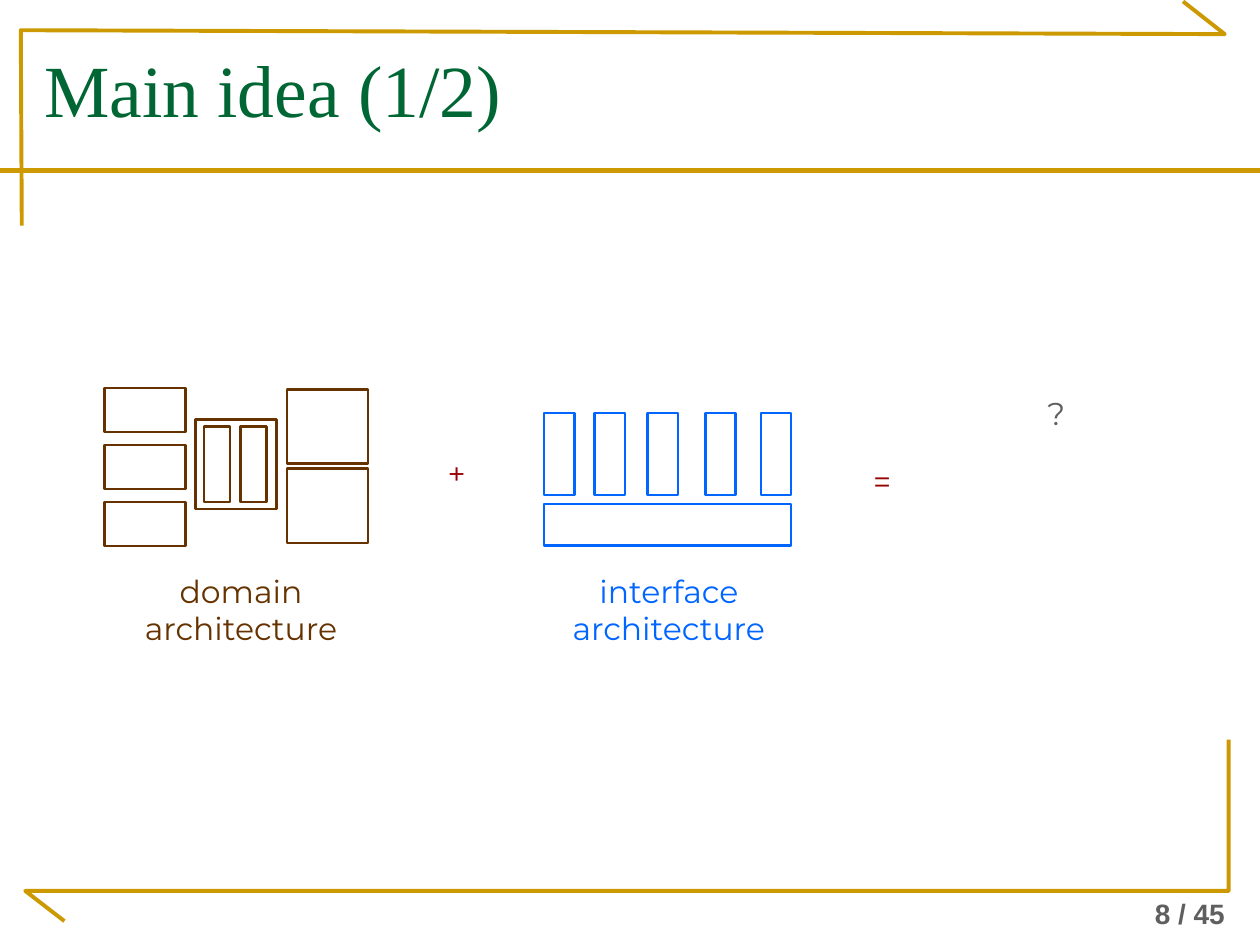
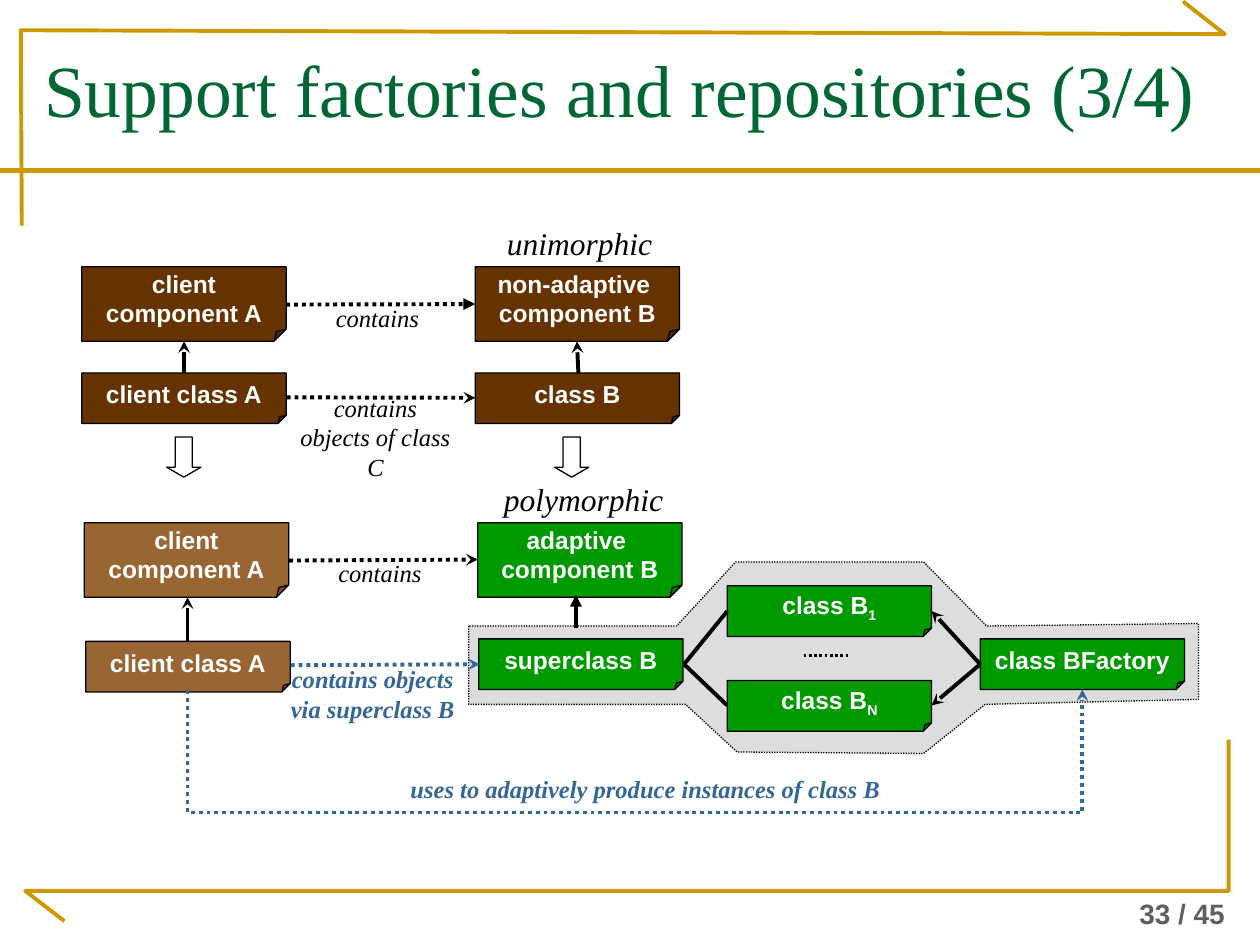
from pptx import Presentation
from pptx.dml.color import RGBColor as Rgb
from pptx.enum.dml import MSO_LINE as Dash
from pptx.enum.shapes import MSO_CONNECTOR as Link, MSO_SHAPE as Form
from pptx.enum.text import MSO_ANCHOR as Anchor, PP_ALIGN as Align
from pptx.oxml.ns import qn
from pptx.util import Cm, Pt
from lxml import etree

HUES = {
    "gold": "CC9900", "title": "006633", "gray": "5F5F5F", "pale": "DDDDDD",
    "brown": "663300", "tan": "996633", "green": "009900", "blue": "0066FF",
    "steel": "336699", "red": "990000", "black": "000000", "white": "FFFFFF",
}
SERIF, SANS, MONT = "Times New Roman", "Arial", "Montserrat"
TOTAL = 45


def hue(name):
    return Rgb.from_string(HUES[name])


def write(frame, text, font=SANS, size=14, color="black", bold=False, italic=False,
          align=Align.CENTER, anchor=Anchor.TOP, wrap=True, pad=None):
    frame.word_wrap = wrap
    frame.vertical_anchor = anchor
    if pad is not None:
        frame.margin_left = frame.margin_right = Cm(pad)
        frame.margin_top = frame.margin_bottom = Cm(pad)
    for i, line in enumerate(text.split("\n")):
        para = frame.add_paragraph() if i else frame.paragraphs[0]
        para.alignment = align
        base, _, sub = line.partition("_")
        for part in filter(None, (base, sub)):
            run = para.add_run()
            run.text = part
            face = run.font
            face.name, face.size = font, Pt(size)
            face.bold, face.italic = bold, italic
            face.color.rgb = hue(color)
            if part is sub:
                run._r.get_or_add_rPr().set("baseline", "-25000")


def label(slide, text, box, **style):
    area = slide.shapes.add_textbox(*map(Cm, box))
    write(area.text_frame, text, **style)


def stroke(line, color, width, dash=None, head=None):
    line.color.rgb = hue(color)
    line.width = Pt(width)
    if dash:
        line.dash_style = dash
    if head:
        etree.SubElement(line._get_or_add_ln(), qn("a:tailEnd"), type=head)


def shape(slide, form, box, fill, color, width, **adjust):
    item = slide.shapes.add_shape(form, *map(Cm, box))
    item.shadow.inherit = False
    item.fill.solid()
    item.fill.fore_color.rgb = hue(fill)
    stroke(item.line, color, width)
    if adjust:
        guides = next(item._element.iter(qn("a:avLst")))
        guides[:] = []
        for name, value in adjust.items():
            etree.SubElement(guides, qn("a:gd"), name=name, fmla=f"val {value}")
    return item


def line(slide, start, end, color="black", width=2.25, dash=None, head=None):
    link = slide.shapes.add_connector(Link.STRAIGHT, *map(Cm, (*start, *end)))
    etree.SubElement(link._element.spPr, qn("a:effectLst"))
    stroke(link.line, color, width, dash, head)


def trace(slide, points, color, width=2.25, fill=None, dash=None, head=None):
    spots = [(Cm(x), Cm(y)) for x, y in points]
    pen = slide.shapes.build_freeform(*spots[0])
    pen.add_line_segments(spots[1:], close=bool(fill))
    item = pen.convert_to_shape()
    item.shadow.inherit = False
    if fill:
        item.fill.solid()
        item.fill.fore_color.rgb = hue(fill)
    else:
        item.fill.background()
    stroke(item.line, color, width, dash, head)


def page(deck, title, number):
    slide = deck.slides.add_slide(deck.slide_layouts[6])
    trace(slide, [(0.44, 4.55), (0.42, 0.61), (24.69, 0.69), (23.85, 0.03)], "gold")
    trace(slide, [(1.3, 18.57), (0.51, 17.96), (24.77, 17.96), (24.77, 14.91)], "gold")
    line(slide, (0, 3.43), (25.4, 3.43), "gold", 3)
    label(slide, f"{number} / {TOTAL}", (21.92, 17.78, 3.02, 1.09), size=16,
          color="gray", bold=True, align=Align.RIGHT, anchor=Anchor.BOTTOM)
    label(slide, title, (0.64, 0.76, 23.93, 2.72), font=SERIF, size=42,
          color="title", align=Align.LEFT)
    return slide


def frames(slide, color, boxes):
    for box in boxes:
        shape(slide, Form.RECTANGLE, box, "white", color, 1.5)


def note(slide, text, left, top, fill):
    high = 1.5 if "\n" in text else 1.02
    item = shape(slide, Form.FOLDED_CORNER, (left, top, 4.12, high), fill,
                 "black", 0.75, adj=16300)
    write(item.text_frame, text, color="white", bold=True,
          anchor=Anchor.MIDDLE, wrap=False)


def remark(slide, text, box, size=14, color="black", bold=False):
    label(slide, text, box, font=SERIF, size=size, color=color, bold=bold,
          italic=True, pad=0)


def idea(deck):
    slide = page(deck, "Main idea (1/2)", 8)
    frames(slide, "brown", [(2.11, 7.82 + 1.15 * i, 1.63, 0.89) for i in range(3)])
    frames(slide, "brown", [(3.94, 8.46, 1.63, 1.8)])
    frames(slide, "brown", [(5.79, 7.85 + 1.6 * i, 1.63, 1.5) for i in range(2)])
    frames(slide, "brown", [(4.11 + 0.74 * i, 8.6, 0.53, 1.52) for i in range(2)])
    frames(slide, "blue", [(x, 8.33, 0.61, 1.65)
                           for x in (10.97, 11.99, 13.06, 14.22, 15.34)])
    frames(slide, "blue", [(10.97, 10.16, 4.98, 0.84)])
    for text, color, box in (
        ("domain architecture", "brown", (1.57, 11.4, 6.58, 0.58)),
        ("interface architecture", "blue", (10.13, 11.4, 6.71, 0.58)),
        ("+", "red", (8.61, 9.02, 1.19, 1.24)),
        ("=", "red", (17.2, 9.19, 1.17, 0.91)),
        ("?", "gray", (20.14, 7.82, 2.31, 3.3)),
    ):
        label(slide, text, box, font=MONT, size=18, color=color, wrap=False)


def support(deck):
    slide = page(deck, "Support factories and repositories (3/4)", 33)
    trace(slide, [(9.45, 12.62), (9.45, 14.2), (13.82, 14.2), (14.86, 15.16),
                  (18.62, 15.19), (19.86, 14.2), (24.16, 14.1), (24.16, 12.57),
                  (19.89, 12.62), (18.62, 11.33), (14.83, 11.33), (13.64, 12.62)],
          "black", 0.75, "pale", Dash.ROUND_DOT)
    for text, left, top, fill in (
        ("client\ncomponent A", 1.65, 5.38, "brown"),
        ("non-adaptive \ncomponent B", 9.58, 5.38, "brown"),
        ("client class A", 1.65, 7.52, "brown"),
        ("class B", 9.58, 7.52, "brown"),
        ("client\ncomponent A", 1.7, 10.54, "tan"),
        ("adaptive \ncomponent B", 9.63, 10.54, "green"),
        ("client class A", 1.73, 12.93, "tan"),
        ("superclass B", 9.65, 12.88, "green"),
        ("class B_1", 14.66, 11.81, "green"),
        ("class B_N", 14.66, 13.72, "green"),
        ("class BFactory", 19.76, 12.88, "green"),
    ):
        note(slide, text, left, top, fill)
    for start, end, head in (
        ((3.71, 7.52), (3.71, 6.88), "stealth"),
        ((11.66, 7.52), (11.63, 6.88), "stealth"),
        ((3.78, 12.93), (3.78, 12.04), "stealth"),
        ((11.61, 12.65), (11.61, 11.99), "triangle"),
        ((14.66, 12.32), (13.79, 13.39), None),
        ((14.66, 14.22), (13.79, 13.39), None),
        ((19.76, 13.39), (18.78, 12.32), "stealth"),
        ((19.76, 13.39), (18.78, 14.22), "stealth"),
    ):
        line(slide, start, end, head=head)
    for start, end, color, head in (
        ((5.77, 6.14), (9.58, 6.13), "black", "triangle"),
        ((5.78, 8.01), (9.58, 8.02), "black", "stealth"),
        ((5.83, 11.3), (9.63, 11.28), "black", "stealth"),
        ((5.86, 13.41), (9.67, 13.39), "steel", "stealth"),
    ):
        line(slide, start, end, color, dash=Dash.ROUND_DOT, head=head)
    line(slide, (16.2, 13.22), (17.15, 13.22), width=1.5, dash=Dash.ROUND_DOT)
    trace(slide, [(3.78, 13.92), (3.78, 16.38), (21.82, 16.38), (21.82, 13.9)],
          "steel", dash=Dash.ROUND_DOT, head="stealth")
    for left in (3.36, 11.18):
        shape(slide, Form.DOWN_ARROW, (left, 8.81, 0.69, 0.81), "white", "black",
              0.75, adj1=50000, adj2=29000)
    remark(slide, "unimorphic", (9.93, 4.52, 3.51, 0.76), 18)
    remark(slide, "polymorphic", (10.01, 9.68, 3.51, 0.76), 18)
    remark(slide, "contains", (6.3, 6.1, 2.62, 0.58))
    remark(slide, "contains", (6.35, 11.25, 2.62, 0.58))
    remark(slide, "contains objects of class C", (5.97, 7.92, 3.2, 1.78))
    remark(slide, "contains objects via superclass B", (5.79, 13.39, 3.45, 1.19),
           color="steel", bold=True)
    remark(slide, "uses to adaptively produce instances of class B",
           (8, 15.6, 10.03, 0.58), color="steel", bold=True)


def main():
    deck = Presentation()
    deck.slide_width, deck.slide_height = Cm(25.4), Cm(19.05)
    idea(deck)
    support(deck)
    deck.save("out.pptx")


if __name__ == "__main__":
    main()
